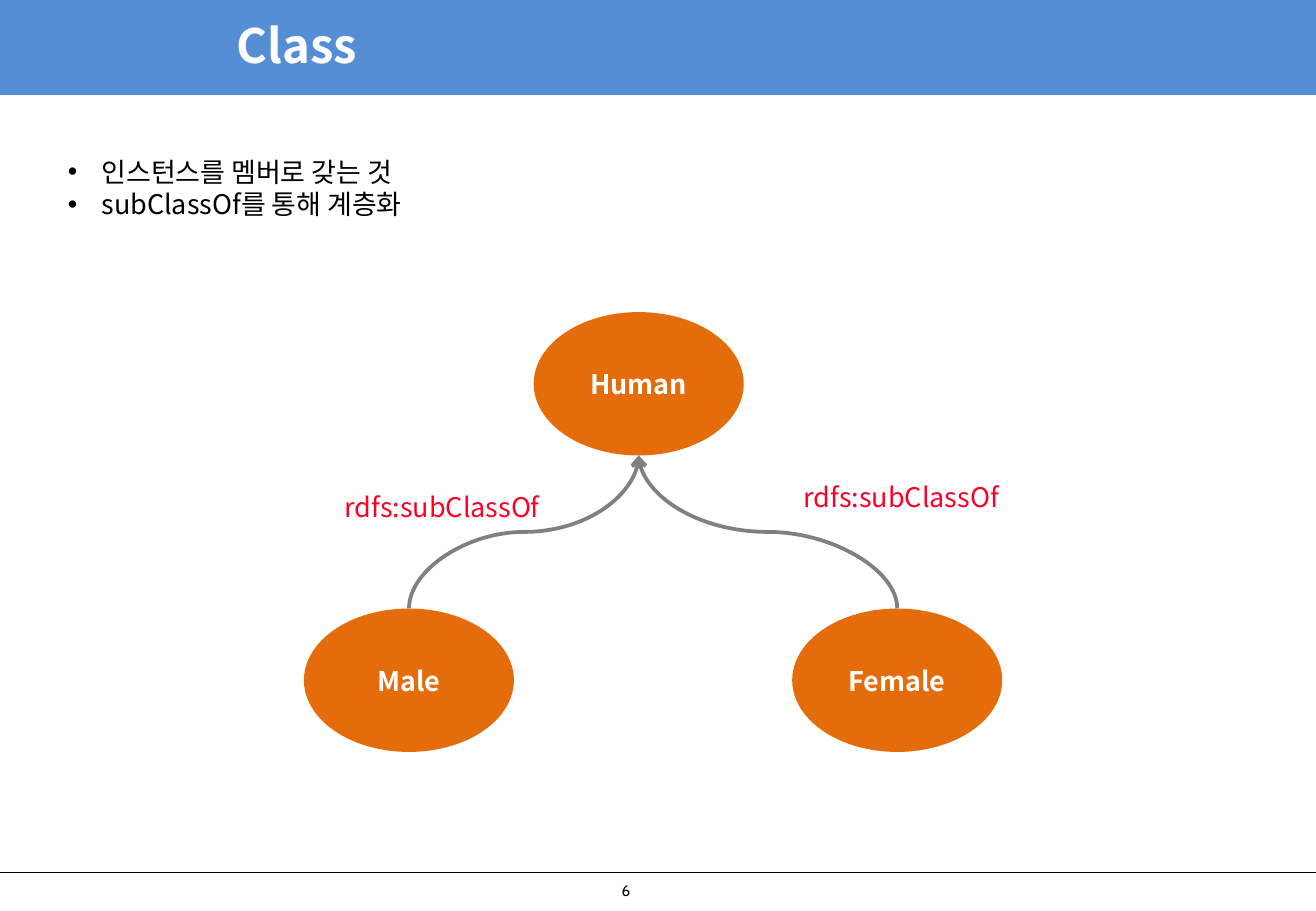
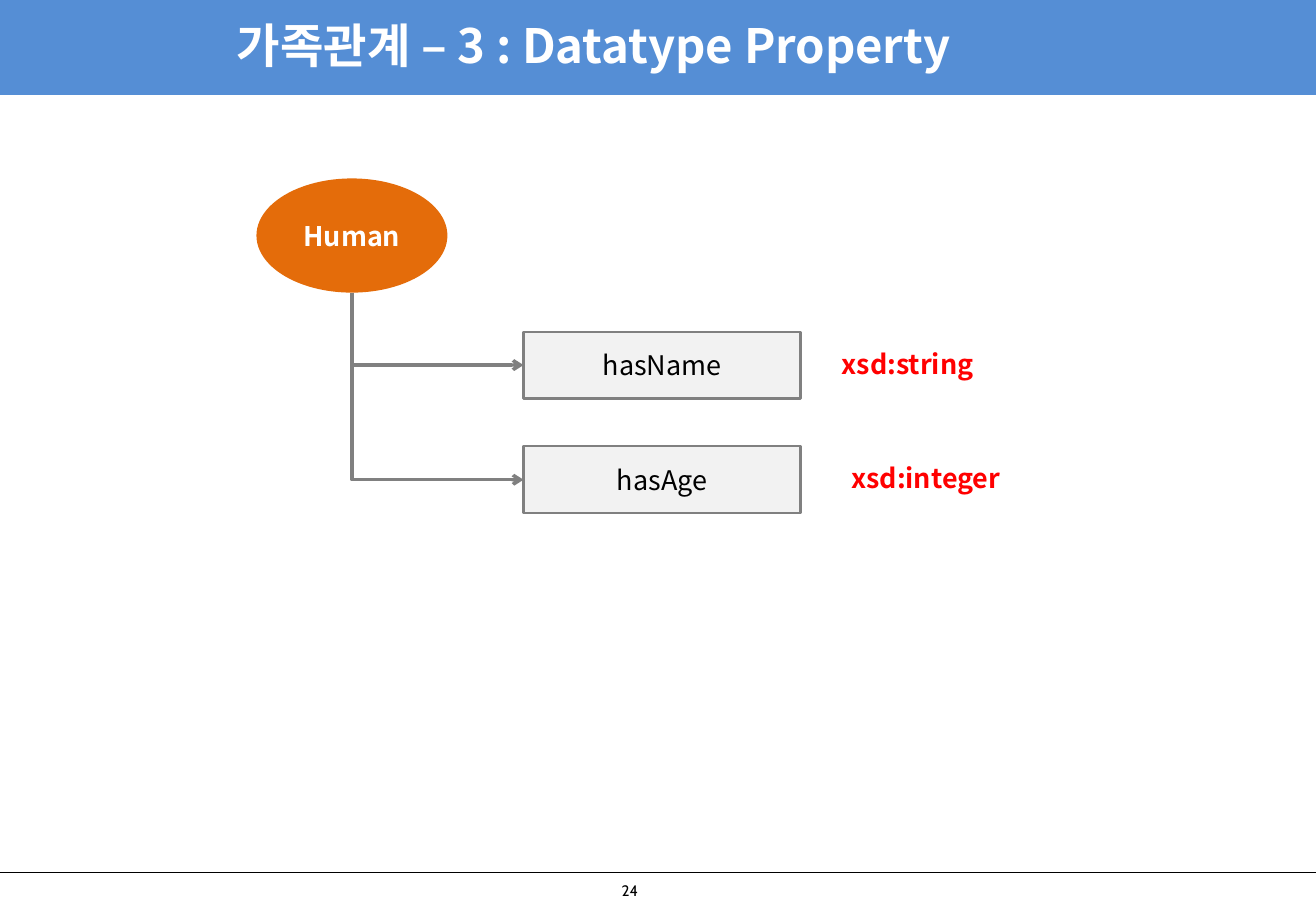
import pptx
import pptx.util
import pptx.dml.color
import pptx.enum.shapes
import pptx.enum.text
import pptx.oxml.ns
from lxml import etree

Pt = pptx.util.Pt
qn = pptx.oxml.ns.qn
SHAPE = pptx.enum.shapes.MSO_SHAPE
LINK = pptx.enum.shapes.MSO_CONNECTOR
ALIGN = pptx.enum.text.PP_ALIGN
ANCHOR = pptx.enum.text.MSO_ANCHOR

# Shared look
COLORS = {"band": "558ED5", "white": "FFFFFF", "black": "000000", "class": "E46C0A",
          "grey": "808080", "box": "F2F2F2", "relation": "FC0128", "datatype": "FF0000"}
FONT, NUMBER_FONT = "Noto Sans CJK KR", "Cabin"
WIDTH, HEIGHT = 780, 540
BAND = (0, -2.2, WIDTH, 57.6)
TITLE = (133.2, -2.2, 636.5, 57.6)
RULE_Y = 517
NUMBER = (361.4, 519.1, 28, 18)

# Class slide
CLASS_BULLETS = ["인스턴스를 멤버로 갖는 것", "subClassOf를 통해 계층화"]
CLASS_SIZE = (124.5, 85)
PARENT = ("Human", 378.6, 185)
# name, centre x, label left, label top, rotation, flips
CHILD_TOP = 360.7
CHILDREN = [("Male", 242.4, 197.3, 287.3, 90, ("flipH", "flipV")),
            ("Female", 531.8, 469.4, 281.5, 270, ("flipV",))]

# Datatype property slide
HUMAN = (152, 105.8, 113.2, 67.7)
# property, datatype, datatype left
PROPERTIES = [("hasName", "xsd:string", 491.8), ("hasAge", "xsd:integer", 497.5)]
BOX_LEFT, BOX_TOP, BOX_WIDTH, BOX_HEIGHT, BOX_PITCH = 310.3, 196.6, 164.2, 39.6, 68


def rgb(name):
    return pptx.dml.color.RGBColor.from_string(COLORS[name])


def write(sp, text, size=16, color="black", bold=False, font=FONT, align=ALIGN.LEFT,
          anchor=ANCHOR.TOP, bullet=False):
    tf = sp.text_frame
    tf.word_wrap = True
    tf.auto_size = pptx.enum.text.MSO_AUTO_SIZE.NONE
    tf.vertical_anchor = anchor
    lines = [text] if isinstance(text, str) else text
    for i, line in enumerate(lines):
        p = tf.paragraphs[0] if i == 0 else tf.add_paragraph()
        p.alignment = align
        if bullet:
            pPr = p._p.get_or_add_pPr()
            pPr.set("marL", str(Pt(20)))
            pPr.set("indent", str(-Pt(20)))
            etree.SubElement(pPr, qn("a:buFont")).set("typeface", "Arial")
            etree.SubElement(pPr, qn("a:buChar")).set("char", "•")
        r = p.add_run()
        r.text = line
        r.font.size, r.font.bold, r.font.name = Pt(size), bold, font
        r.font.color.rgb = rgb(color)
        etree.SubElement(r._r.get_or_add_rPr(), qn("a:ea")).set("typeface", font)


def add_text(s, at, text, **fmt):
    write(s.shapes.add_textbox(*map(Pt, at)), text, **fmt)


def add_shape(s, kind, at, fill, line=None, weight=1, text=None, **fmt):
    sp = s.shapes.add_shape(kind, *map(Pt, at))
    sp.shadow.inherit = False
    sp.fill.solid()
    sp.fill.fore_color.rgb = rgb(fill)
    if line:
        sp.line.color.rgb = rgb(line)
        sp.line.width = Pt(weight)
    else:
        sp.line.fill.background()
    if text:
        write(sp, text, align=ALIGN.CENTER, anchor=ANCHOR.MIDDLE, **fmt)
    return sp


def add_class(s, name, at):
    add_shape(s, SHAPE.OVAL, at, "class", text=name, color="white", bold=True)


def add_line(s, kind, start, end, color, weight):
    c = s.shapes.add_connector(kind, *map(Pt, start + end))
    c.line.color.rgb = rgb(color)
    c.line.width = Pt(weight)
    etree.SubElement(c.element.spPr, qn("a:effectLst"))
    return c


def add_turned_arrow(s, kind, start, end, rotation, flips, weight, preset):
    """Arrow leaving its start vertically: the frame is turned a quarter."""
    (x1, y1), (x2, y2) = start, end
    w, h = abs(y2 - y1), abs(x2 - x1)
    left, top = (x1 + x2 - w) / 2, (y1 + y2 - h) / 2
    c = add_line(s, kind, (left, top), (left + w, top + h), "grey", weight)
    spPr = c.element.spPr
    xfrm = spPr.find(qn("a:xfrm"))
    xfrm.set("rot", str(rotation * 60000))
    for flip in flips:
        xfrm.set(flip, "1")
    spPr.find(qn("a:prstGeom")).set("prst", preset)
    etree.SubElement(spPr.find(qn("a:ln")), qn("a:tailEnd")).set("type", "arrow")


def add_slide(prs, title, number):
    s = prs.slides.add_slide(prs.slide_layouts[5])
    sp = s.shapes.title
    sp.left, sp.top, sp.width, sp.height = map(Pt, TITLE)
    write(sp, title, size=28, color="white", bold=True, anchor=ANCHOR.MIDDLE)
    band = add_shape(s, SHAPE.RECTANGLE, BAND, "band", line="band", weight=2)
    sp.element.addprevious(band.element)
    add_line(s, LINK.STRAIGHT, (0, RULE_Y), (WIDTH, RULE_Y), "black", 0.75)
    add_text(s, NUMBER, number, size=9, font=NUMBER_FONT)
    return s


def class_slide(prs):
    s = add_slide(prs, "Class", "6")
    add_text(s, (33.1, 88.6, 674.6, 46), CLASS_BULLETS, bullet=True)
    w, h = CLASS_SIZE
    name, parent_x, parent_top = PARENT
    add_class(s, name, (parent_x - w / 2, parent_top, w, h))
    for name, x, label_left, label_top, rotation, flips in CHILDREN:
        add_class(s, name, (x - w / 2, CHILD_TOP, w, h))
        add_turned_arrow(s, LINK.CURVE, (x, CHILD_TOP), (parent_x, parent_top + h),
                         rotation, flips, 2.25, "curvedConnector3")
        add_text(s, (label_left, label_top, 134.6, 26.6), "rdfs:subClassOf", color="relation")


def datatype_slide(prs):
    s = add_slide(prs, "가족관계 – 3 : Datatype Property", "24")
    add_class(s, "Human", HUMAN)
    left, top, w, h = HUMAN
    for i, (name, datatype, type_left) in enumerate(PROPERTIES):
        y = BOX_TOP + i * BOX_PITCH
        add_shape(s, SHAPE.RECTANGLE, (BOX_LEFT, y, BOX_WIDTH, BOX_HEIGHT), "box",
                  line="grey", weight=1.25, text=name)
        add_turned_arrow(s, LINK.ELBOW, (left + w / 2, top + h), (BOX_LEFT, y + BOX_HEIGHT / 2),
                         270, ("flipH",), 2, "bentConnector2")
        add_text(s, (type_left, y + 5.7, 226.8, 26.6), datatype, color="datatype", bold=True)


def main():
    prs = pptx.Presentation()
    prs.slide_width, prs.slide_height = Pt(WIDTH), Pt(HEIGHT)
    class_slide(prs)
    datatype_slide(prs)
    prs.save("out.pptx")


if __name__ == "__main__":
    main()
